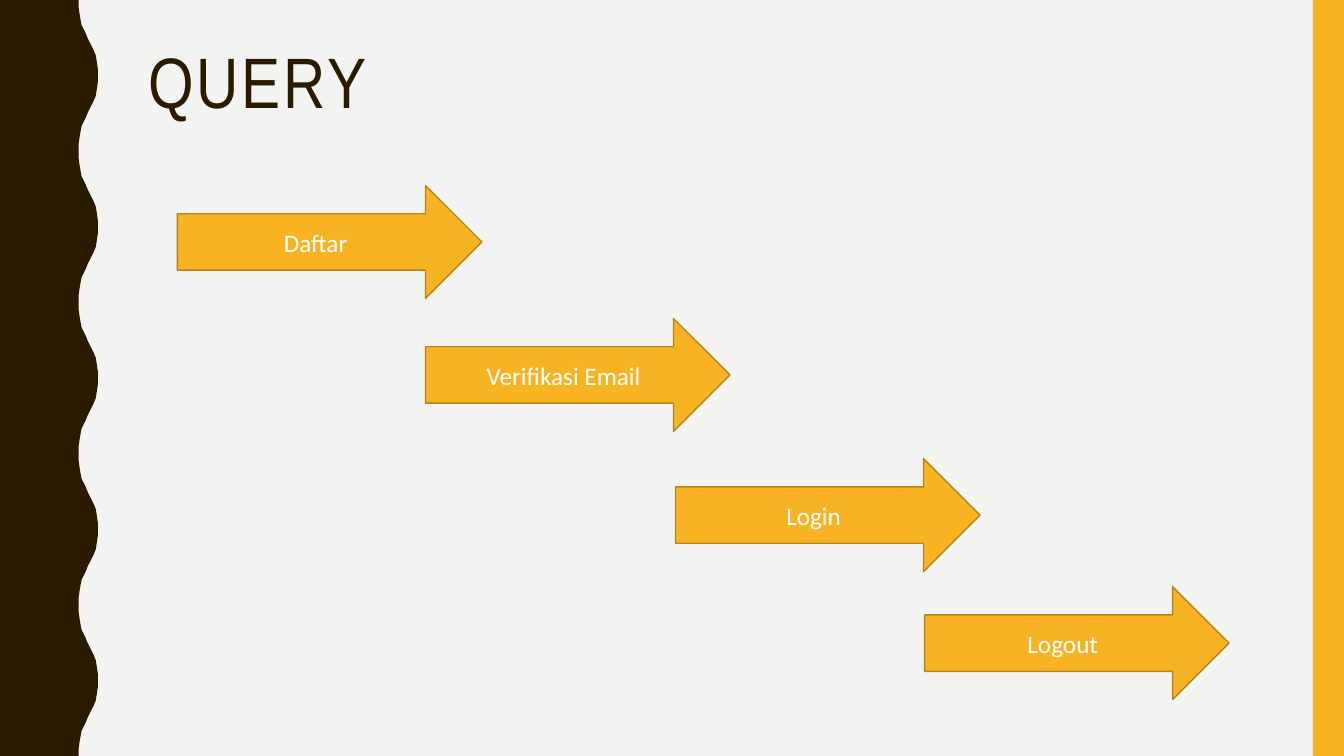
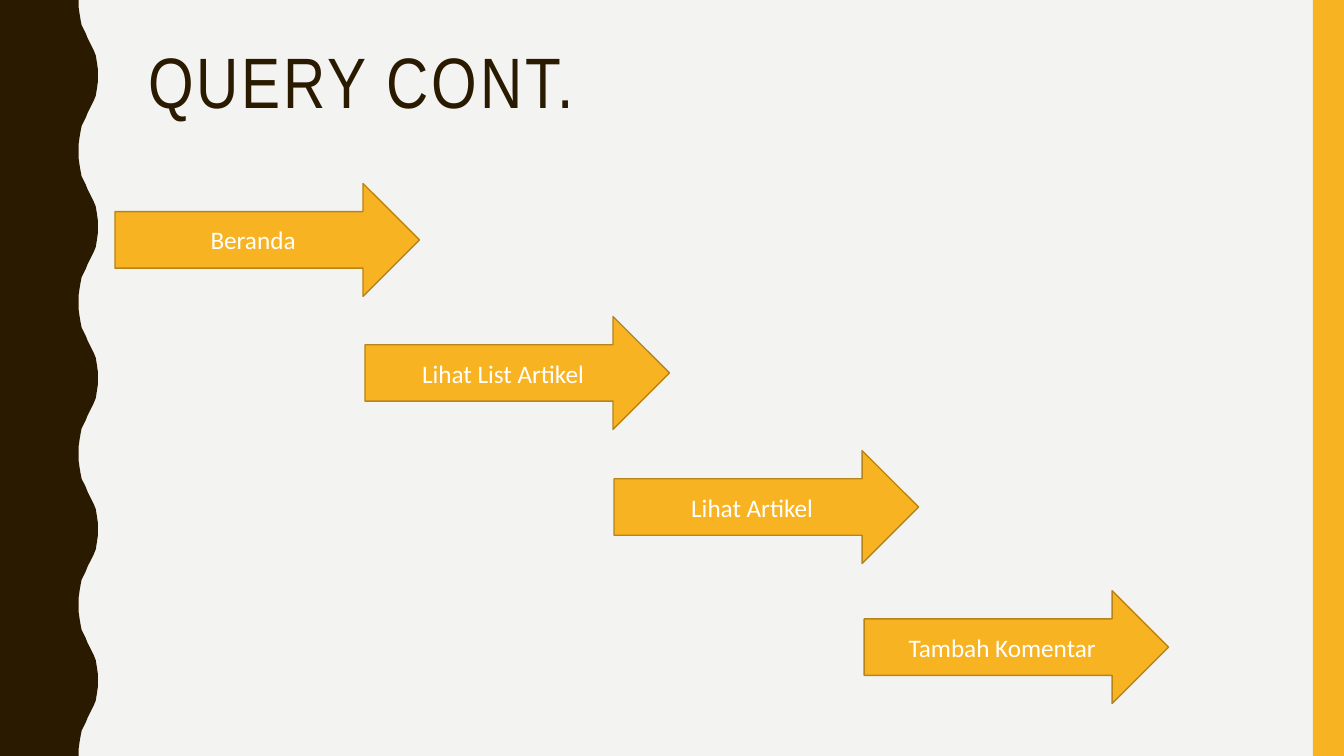
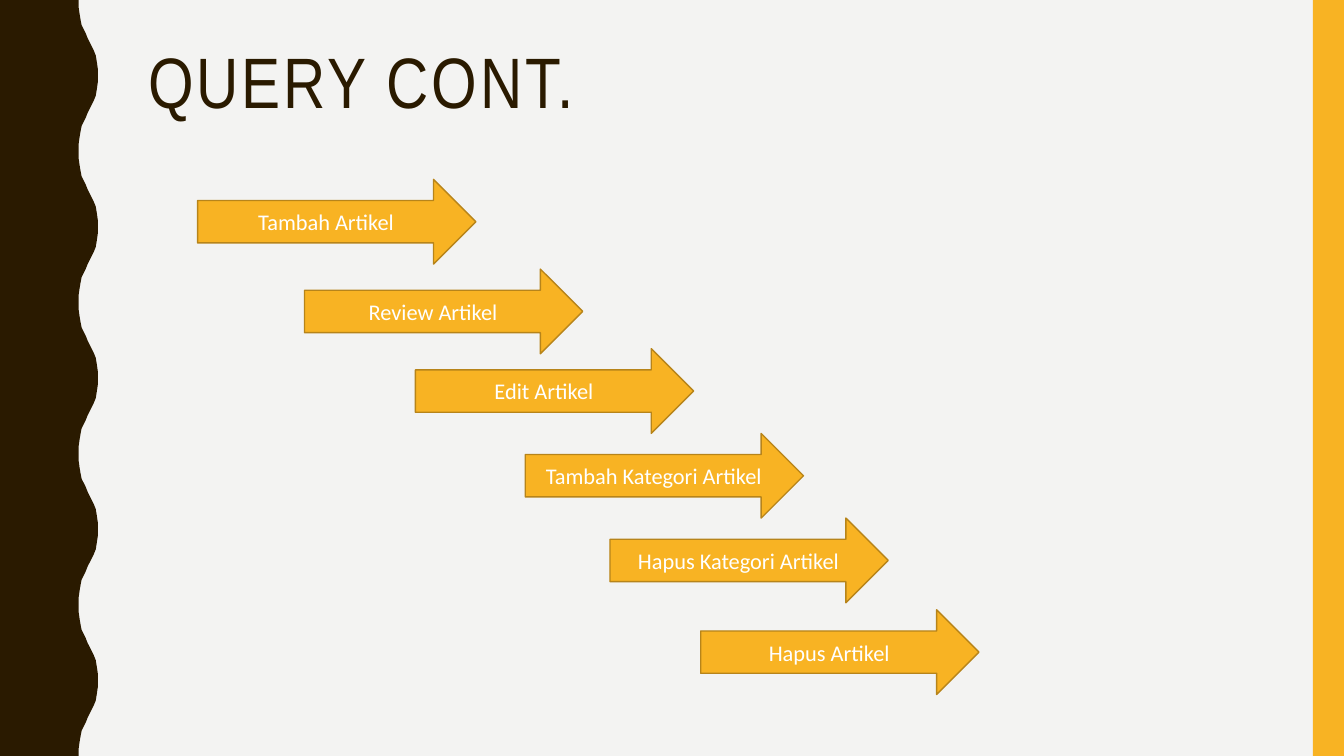
"""Build three slides that show query flows as descending arrows."""
from dataclasses import dataclass

from pptx import Presentation
from pptx.dml.color import RGBColor
from pptx.enum.shapes import MSO_SHAPE
from pptx.enum.text import MSO_ANCHOR, PP_ALIGN
from pptx.util import Inches, Pt


@dataclass(frozen=True)
class Theme:
    """Colours, fonts and type sizes shared by the slides."""
    background: RGBColor = RGBColor(0xF3, 0xF3, 0xF2)
    dark: RGBColor = RGBColor(0x2A, 0x1A, 0x00)
    accent: RGBColor = RGBColor(0xF8, 0xB3, 0x23)
    outline: RGBColor = RGBColor(0xB7, 0x84, 0x1A)
    light: RGBColor = RGBColor(0xFF, 0xFF, 0xFF)
    title_font: str = "Arial Narrow"
    body_font: str = "Calibri"
    title_size: int = 51
    large_label: int = 18
    small_label: int = 16


THEME = Theme()
SLIDE_WIDTH, SLIDE_HEIGHT = 13.33, 7.5
STRIPE_WIDTH = 0.31
WAVE_PERIOD = 1.5
WAVE_RISE = [
    (0.78, 0), (0.78, 0.07), (0.79, 0.14), (0.8, 0.2), (0.81, 0.25),
    (0.83, 0.29), (0.85, 0.33), (0.87, 0.38), (0.89, 0.42), (0.91, 0.46),
    (0.93, 0.5), (0.95, 0.55), (0.96, 0.61), (0.97, 0.68), (0.97, 0.75),
]
LARGE_ARROW = (3.02, 1.12)
SMALL_ARROW = (2.76, 0.84)

FLOWS = [
    ("QUERY", LARGE_ARROW, THEME.large_label, [
        ("Daftar", 1.76, 1.84),
        ("Verifikasi Email", 4.22, 3.16),
        ("Login", 6.7, 4.55),
        ("Logout", 9.17, 5.82),
    ]),
    ("QUERY CONT.", LARGE_ARROW, THEME.large_label, [
        ("Beranda", 1.14, 1.82),
        ("Lihat List Artikel", 3.62, 3.14),
        ("Lihat Artikel", 6.09, 4.47),
        ("Tambah Komentar", 8.57, 5.86),
    ]),
    ("QUERY CONT.", SMALL_ARROW, THEME.small_label, [
        ("Tambah Artikel", 1.96, 1.78),
        ("Review Artikel", 3.02, 2.67),
        ("Edit Artikel", 4.12, 3.46),
        ("Tambah Kategori Artikel", 5.21, 4.3),
        ("Hapus Kategori Artikel", 6.05, 5.14),
        ("Hapus Artikel", 6.95, 6.05),
    ]),
]


class Deck:
    """Hold the style and the current slide."""

    def __init__(self, theme):
        """Open a presentation with the shared size and background."""
        self.theme = theme
        self.presentation = Presentation()
        self.presentation.slide_width = Inches(SLIDE_WIDTH)
        self.presentation.slide_height = Inches(SLIDE_HEIGHT)
        fill = self.presentation.slide_master.background.fill
        fill.solid()
        fill.fore_color.rgb = theme.background
        self.slide = None

    def add_slide(self, title):
        """Start a slide with its side bands and title."""
        layout = self.presentation.slide_layouts[6]
        self.slide = self.presentation.slides.add_slide(layout)
        self.add_wave_band()
        self.add_stripe()
        self.add_title(title)

    def paint(self, shape, colour, outline=None):
        """Give a shape a flat fill and an optional outline."""
        shape.shadow.inherit = False
        shape.fill.solid()
        shape.fill.fore_color.rgb = colour
        if outline is None:
            shape.line.fill.background()
        else:
            shape.line.color.rgb = outline
            shape.line.width = Pt(1)

    def add_run(self, paragraph, text, font_name, size, colour):
        """Append a styled run to a paragraph."""
        run = paragraph.add_run()
        run.text = text
        run.font.name = font_name
        run.font.size = Pt(size)
        run.font.color.rgb = colour
        return run

    def add_wave_band(self):
        """Draw the dark left band with its repeating wavy edge."""
        fall = [(x, WAVE_PERIOD - y) for x, y in reversed(WAVE_RISE[:-1])]
        edge = [
            (x, y + cycle * WAVE_PERIOD)
            for cycle in range(int(SLIDE_HEIGHT / WAVE_PERIOD))
            for x, y in WAVE_RISE + fall
        ]
        builder = self.slide.shapes.build_freeform(0, 0)
        builder.add_line_segments(
            [(Inches(x), Inches(y)) for x, y in edge + [(0, SLIDE_HEIGHT)]]
        )
        self.paint(builder.convert_to_shape(), self.theme.dark)

    def add_stripe(self):
        """Draw the accent stripe on the right edge."""
        stripe = self.slide.shapes.add_shape(
            MSO_SHAPE.RECTANGLE, Inches(SLIDE_WIDTH - STRIPE_WIDTH), 0,
            Inches(STRIPE_WIDTH), Inches(SLIDE_HEIGHT),
        )
        self.paint(stripe, self.theme.accent)

    def add_title(self, text):
        """Write the slide title with wide letter spacing."""
        box = self.slide.shapes.add_textbox(
            Inches(1.37), Inches(0.42), Inches(11.13), Inches(1.63)
        )
        box.text_frame.word_wrap = True
        paragraph = box.text_frame.paragraphs[0]
        paragraph.line_spacing = 0.9
        run = self.add_run(paragraph, text, self.theme.title_font,
                           self.theme.title_size, self.theme.dark)
        run.font._element.set("spc", "200")

    def add_arrow(self, text, left, top, size, label_size):
        """Draw a right arrow with a centred label."""
        width, height = size
        arrow = self.slide.shapes.add_shape(
            MSO_SHAPE.RIGHT_ARROW, Inches(left), Inches(top),
            Inches(width), Inches(height),
        )
        self.paint(arrow, self.theme.accent, self.theme.outline)
        arrow.text_frame.word_wrap = True
        arrow.text_frame.vertical_anchor = MSO_ANCHOR.MIDDLE
        paragraph = arrow.text_frame.paragraphs[0]
        paragraph.alignment = PP_ALIGN.CENTER
        self.add_run(paragraph, text, self.theme.body_font, label_size,
                     self.theme.light)


def main():
    """Build every flow and save the presentation."""
    deck = Deck(THEME)
    for title, size, label_size, steps in FLOWS:
        deck.add_slide(title)
        for text, left, top in steps:
            deck.add_arrow(text, left, top, size, label_size)
    deck.presentation.save("out.pptx")


main()
